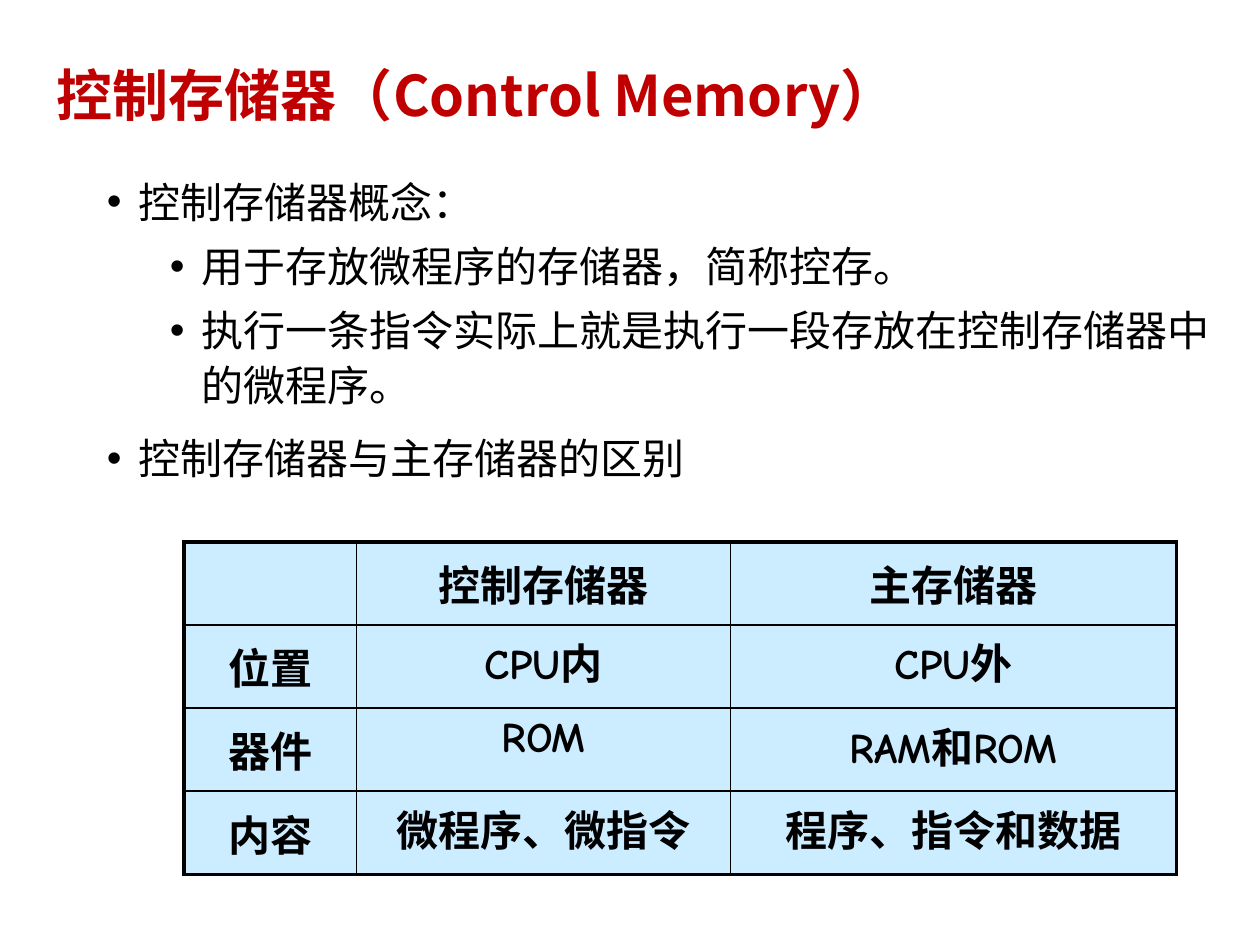
from dataclasses import dataclass

import pptx
import pptx.dml.color
import pptx.enum.text
import pptx.oxml
import pptx.oxml.ns
import pptx.util
from pptx.dml.color import RGBColor
from pptx.util import Inches, Pt

RED = RGBColor(0xC0, 0x00, 0x00)
BLACK = RGBColor(0x00, 0x00, 0x00)
PALE_BLUE = RGBColor(0xCC, 0xEC, 0xFF)
CHINESE_FONT = "Noto Sans CJK SC"
LATIN_TABLE_FONT = "Comic Neue"
THIN, THICK = 1, 2.25
MIDDLE = pptx.enum.text.MSO_ANCHOR.MIDDLE
TOP = pptx.enum.text.MSO_ANCHOR.TOP
ALIGN = pptx.enum.text.PP_ALIGN


@dataclass
class Bullet:
    text: str
    level: int = 0


BULLETS = [
    Bullet("控制存储器概念："),
    Bullet("用于存放微程序的存储器，简称控存。", 1),
    Bullet("执行一条指令实际上就是执行一段存放在控制存储器中的微程序。", 1),
    Bullet("控制存储器与主存储器的区别"),
]
COMPARISON = [
    ["", "控制存储器", "主存储器"],
    ["位置", "CPU内", "CPU外"],
    ["器件", "ROM", "RAM和ROM"],
    ["内容", "微程序、微指令", "程序、指令和数据"],
]
COLUMN_WIDTHS = [1.37, 2.97, 3.54]
ROW_HEIGHT = 0.66


def add_span(para, text: str, size: float, color: RGBColor,
             latin: str = CHINESE_FONT, bold: bool = False) -> None:
    span = para.add_run()
    span.text = text
    span.font.size = Pt(size)
    span.font.bold = bold
    span.font.color.rgb = color
    span.font.name = latin
    east_asian = pptx.oxml.parse_xml(
        f'<a:ea {pptx.oxml.ns.nsdecls("a")} typeface="{CHINESE_FONT}"/>')
    span.font._element.append(east_asian)


def set_bullet(para, level: int) -> None:
    properties = para._p.get_or_add_pPr()
    properties.set("marL", str(Inches(0.25 + 0.5 * level)))
    properties.set("indent", str(Inches(-0.25)))
    for xml in ('<a:buFont {} typeface="Arial"/>', '<a:buChar {} char="•"/>'):
        properties.append(pptx.oxml.parse_xml(
            xml.format(pptx.oxml.ns.nsdecls("a"))))


def set_borders(cell, widths: dict[str, float]) -> None:
    """Draw the cell's edges; the lines must precede its fill in the XML."""
    properties = cell._tc.get_or_add_tcPr()
    for position, (edge, width) in enumerate(widths.items()):
        properties.insert(position, pptx.oxml.parse_xml(
            f'<a:ln{edge} {pptx.oxml.ns.nsdecls("a")} w="{Pt(width)}">'
            f'<a:solidFill><a:srgbClr val="{BLACK}"/></a:solidFill>'
            f'</a:ln{edge}>'))


def add_title(page) -> None:
    box = page.shapes.title
    box.left, box.top = Inches(0.35), Inches(0.28)
    box.width, box.height = Inches(8.77), Inches(1)
    frame = box.text_frame
    frame.auto_size = pptx.enum.text.MSO_AUTO_SIZE.NONE
    frame.vertical_anchor = MIDDLE
    para = frame.paragraphs[0]
    para.alignment = ALIGN.LEFT
    para.line_spacing = 0.9
    add_span(para, "控制存储器（Control Memory）", 32, RED, bold=True)


def add_bullets(page) -> None:
    box = page.shapes.add_textbox(
        Inches(0.75), Inches(1.31), Inches(8.98), Inches(2.8))
    frame = box.text_frame
    frame.word_wrap = True
    for index, bullet in enumerate(BULLETS):
        para = frame.add_paragraph() if index else frame.paragraphs[0]
        set_bullet(para, bullet.level)
        para.level = bullet.level
        para.line_spacing = 1.1
        if index:
            para.space_before = Pt(5 if bullet.level else 10)
        add_span(para, bullet.text, 24, BLACK)


def add_comparison(page) -> None:
    last_row, last_column = len(COMPARISON) - 1, len(COLUMN_WIDTHS) - 1
    table = page.shapes.add_table(
        len(COMPARISON), len(COLUMN_WIDTHS), Inches(1.46), Inches(4.3),
        Inches(sum(COLUMN_WIDTHS)), Inches(ROW_HEIGHT * len(COMPARISON))).table
    for column, width in zip(table.columns, COLUMN_WIDTHS):
        column.width = Inches(width)
    for r, texts in enumerate(COMPARISON):
        table.rows[r].height = Inches(ROW_HEIGHT)
        for c, text in enumerate(texts):
            cell = table.cell(r, c)
            cell.fill.solid()
            cell.fill.fore_color.rgb = PALE_BLUE
            cell.vertical_anchor = MIDDLE if r == 0 or c == 0 else TOP
            set_borders(cell, {
                "L": THICK if c == 0 else THIN,
                "R": THICK if c == last_column else THIN,
                "T": THICK if r == 0 else THIN,
                "B": THICK if r == last_row else THIN,
            })
            if text:
                para = cell.text_frame.paragraphs[0]
                para.alignment = ALIGN.CENTER
                add_span(para, text, 24, BLACK, LATIN_TABLE_FONT, bold=True)


def main() -> None:
    deck = pptx.Presentation()
    deck.slide_width, deck.slide_height = Inches(10), Inches(7.5)
    page = deck.slides.add_slide(deck.slide_layouts.get_by_name("Title Only"))
    add_title(page)
    add_bullets(page)
    add_comparison(page)
    deck.save("out.pptx")


if __name__ == "__main__":
    main()
